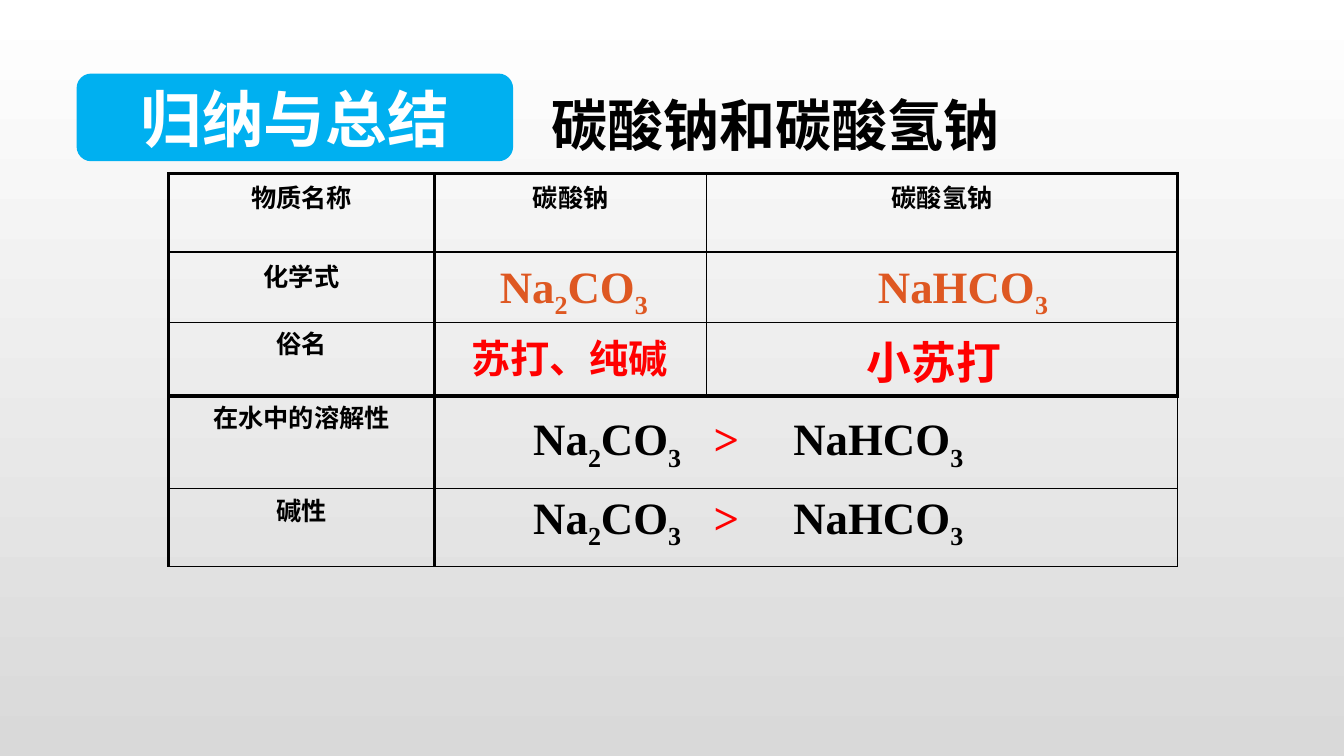
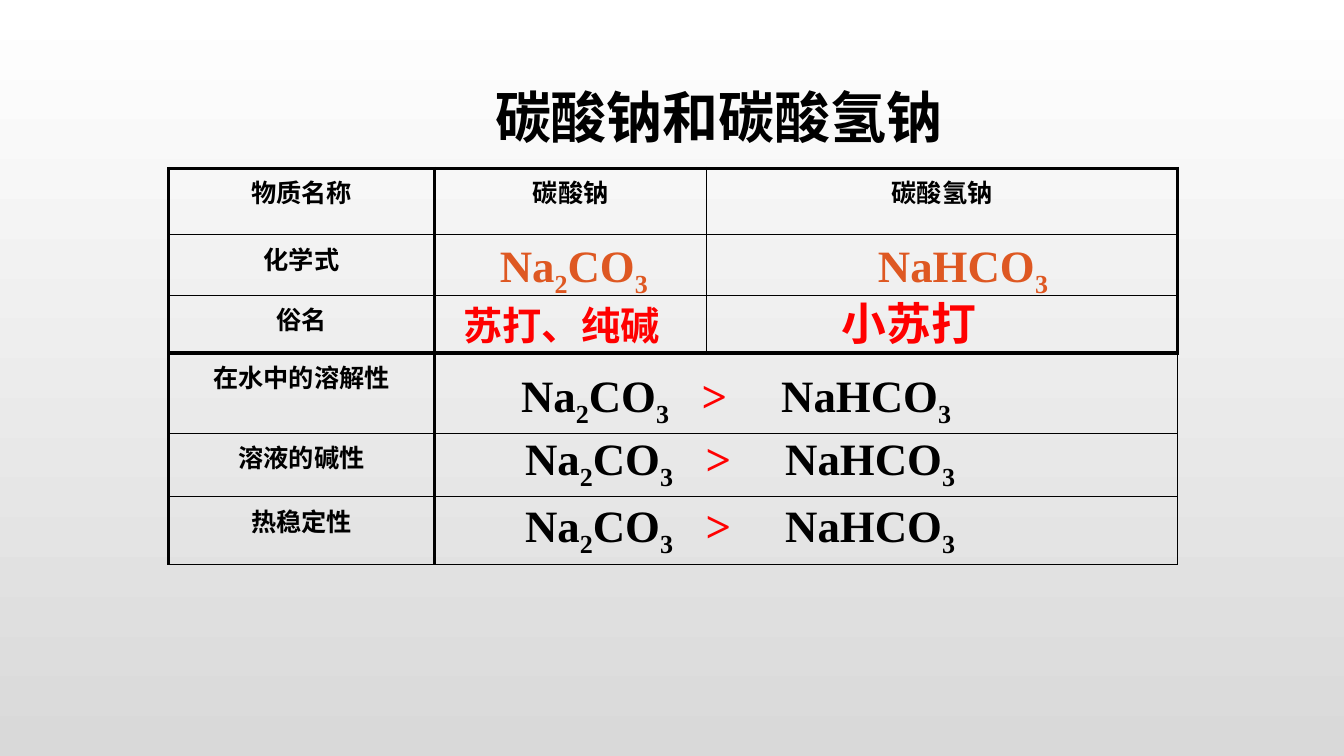
from itertools import accumulate, groupby

from lxml import etree
from pptx import Presentation
from pptx.dml.color import RGBColor
from pptx.enum.shapes import MSO_SHAPE
from pptx.enum.text import MSO_ANCHOR, PP_ALIGN
from pptx.oxml.ns import qn
from pptx.util import Inches, Pt

ROUND_RECT = MSO_SHAPE.ROUNDED_RECTANGLE
MIDDLE = MSO_ANCHOR.MIDDLE
LEFT, CENTER = PP_ALIGN.LEFT, PP_ALIGN.CENTER

BLACK = RGBColor(0x00, 0x00, 0x00)
WHITE = RGBColor(0xFF, 0xFF, 0xFF)
GREY = RGBColor(0xD9, 0xD9, 0xD9)
ORANGE = RGBColor(0xDE, 0x58, 0x22)
RED = RGBColor(0xFF, 0x00, 0x00)
BLUE = RGBColor(0x00, 0xB0, 0xF0)

CJK, LATIN, TITLE_FONT = "Noto Sans CJK JP", "Times New Roman", "Arial"

TABLE_LEFT = 1.67
COLS = (2.64, 2.7, 4.67)
COL_EDGES = (2.25, 3, 1, 2.25)
SPLIT_ROWS = 3
BLANK_STOPS = (1.7, 2.37, 2.58)
HEADINGS = ("物质名称", "碳酸钠", "碳酸氢钠")
TITLE = "碳酸钠和碳酸氢钠"


def style(p, size, color, face=CJK, align=LEFT):
    """Set the bold font and alignment of a whole paragraph."""
    p.alignment = align
    f = p.font
    f.size, f.bold, f.name = Pt(size), True, face
    f.color.rgb = color
    ea = etree.SubElement(p._p.pPr.find(qn("a:defRPr")), qn("a:ea"))
    ea.set("typeface", CJK)


def add_runs(p, text, underline=None):
    """Add text as runs, with its digits set as subscripts."""
    for is_digit, chars in groupby(text, str.isdigit):
        r = p.add_run()
        r.text = "".join(chars)
        r.font.underline = underline
        if is_digit:
            r._r.get_or_add_rPr().set("baseline", "-25000")


def add_label(shapes, x, y, w, text, size, color, face=LATIN):
    """Add a text box with one line of text."""
    tf = shapes.add_textbox(*map(Inches, (x, y, w, 0.64))).text_frame
    tf.word_wrap = True
    p = tf.paragraphs[0]
    style(p, size, color, face)
    add_runs(p, text)
    return p


def add_comparison(s, x, y):
    """Add two formulas around an underlined blank filled with a sign."""
    shapes = s.shapes.add_group_shape().shapes
    p = add_label(shapes, x, y, 5.4, "Na2CO3\t", 32, BLACK)
    tabs = etree.Element(qn("a:tabLst"))
    for stop in BLANK_STOPS:
        etree.SubElement(tabs, qn("a:tab"), pos=str(Inches(stop)), algn="l")
    p._p.pPr.insert(0, tabs)
    add_runs(p, "\t", underline=True)
    add_runs(p, "\tNaHCO3")
    add_label(shapes, x + 1.79, y, 0.47, ">", 32, RED)


def set_border(cell, side, width):
    """Draw one black edge of a table cell."""
    ln = etree.SubElement(cell._tc.get_or_add_tcPr(), qn("a:ln" + side), w=str(Pt(width)))
    fill = etree.SubElement(ln, qn("a:solidFill"))
    etree.SubElement(fill, qn("a:srgbClr"), val=str(BLACK))


def add_grid(s, top, heights, names, spacing):
    """Add the ruled table with its headings and row names."""
    sizes = (TABLE_LEFT, top, sum(COLS), sum(heights))
    table = s.shapes.add_table(len(heights), len(COLS), *map(Inches, sizes)).table
    table.first_row = table.horz_banding = False
    for column, width in zip(table.columns, COLS):
        column.width = Inches(width)
    row_edges = [2.25, 1, 1, 3] + [1] * (len(heights) - SPLIT_ROWS)
    texts = [HEADINGS] + [(name, "", "") for name in names]
    for i, height in enumerate(heights):
        table.rows[i].height = Inches(height)
        for j, text in enumerate(texts[i]):
            cell = table.cell(i, j)
            edges = (COL_EDGES[j], COL_EDGES[j + 1], row_edges[i], row_edges[i + 1])
            for side, width in zip("LRTB", edges):
                set_border(cell, side, width)
            cell.fill.background()
            p = cell.text_frame.paragraphs[0]
            if text:
                p.text = text
            if i >= SPLIT_ROWS - 1:
                p.line_spacing = spacing
            style(p, 18, BLACK, align=CENTER)
        if i >= SPLIT_ROWS:
            table.cell(i, 1).merge(table.cell(i, 2))


def add_badge(s, text):
    """Add the rounded section badge."""
    sp = s.shapes.add_shape(ROUND_RECT, *map(Inches, (0.76, 0.73, 4.33, 0.87)))
    sp.shadow.inherit = False
    sp.fill.solid()
    sp.fill.fore_color.rgb = BLUE
    sp.line.fill.background()
    tf = sp.text_frame
    tf.vertical_anchor = MIDDLE
    tf.text = text
    style(tf.paragraphs[0], 44, WHITE, align=CENTER)


def add_summary(prs, title_at, top, heights, names, formula_dy, nicknames, comparisons, spacing=1.0):
    """Add a slide with a title, the table and the answers on it."""
    s = prs.slides.add_slide(prs.slide_layouts[5])
    title = s.shapes.title
    title.left, title.top, title.width, title.height = map(Inches, (*title_at, 5.02, 0.87))
    tf = title.text_frame
    tf.vertical_anchor = MIDDLE
    tf.text = TITLE
    style(tf.paragraphs[0], 40, BLACK, TITLE_FONT)

    add_grid(s, top, heights, names, spacing)
    tops = list(accumulate(heights, initial=top))
    for x, formula in ((4.86, "Na2CO3"), (8.61, "NaHCO3")):
        add_label(s.shapes, x, tops[1] + formula_dy, 1.9, formula, 32, ORANGE)
    (soda_x, soda_dy), (baking_x, baking_dy) = nicknames
    add_label(s.shapes, soda_x, tops[2] + soda_dy, 2.3, "苏打、纯碱", 28, RED)
    add_label(s.shapes, baking_x, tops[2] + baking_dy, 1.7, "小苏打", 32, RED, CJK)
    for y, (x, dy) in zip(tops[SPLIT_ROWS:], comparisons):
        add_comparison(s, x, y + dy)
    return s


def set_background(prs):
    """Give the master a vertical white to grey gradient."""
    fill = prs.slide_master.background.fill
    fill.gradient()
    fill.gradient_angle = 270
    for stop, position, color in zip(fill.gradient_stops, (0, 1), (WHITE, GREY)):
        stop.position = position
        stop.color.rgb = color


def main():
    """Build and save the presentation."""
    prs = Presentation()
    prs.slide_width, prs.slide_height = Inches(13.33), Inches(7.5)
    set_background(prs)
    s = add_summary(
        prs, (5.37, 0.8), 1.72, (0.78, 0.7, 0.73, 0.92, 0.77),
        ("化学式", "俗名", "在水中的溶解性", "碱性"),
        formula_dy=0.02, nicknames=((4.58, 0.07), (8.5, 0.07)),
        comparisons=((5.19, 0.1), (5.19, -0.04)), spacing=0.9)
    add_badge(s, "归纳与总结")
    add_summary(
        prs, (4.81, 0.72), 1.67, (0.66, 0.6, 0.57, 0.8, 0.63, 0.67),
        ("化学式", "俗名", "在水中的溶解性", "溶液的碱性", "热稳定性"),
        formula_dy=-0.02, nicknames=((4.5, 0.01), (8.25, -0.05)),
        comparisons=((5.07, 0.1), (5.11, -0.08), (5.11, -0.04)))
    prs.save("out.pptx")


if __name__ == "__main__":
    main()
